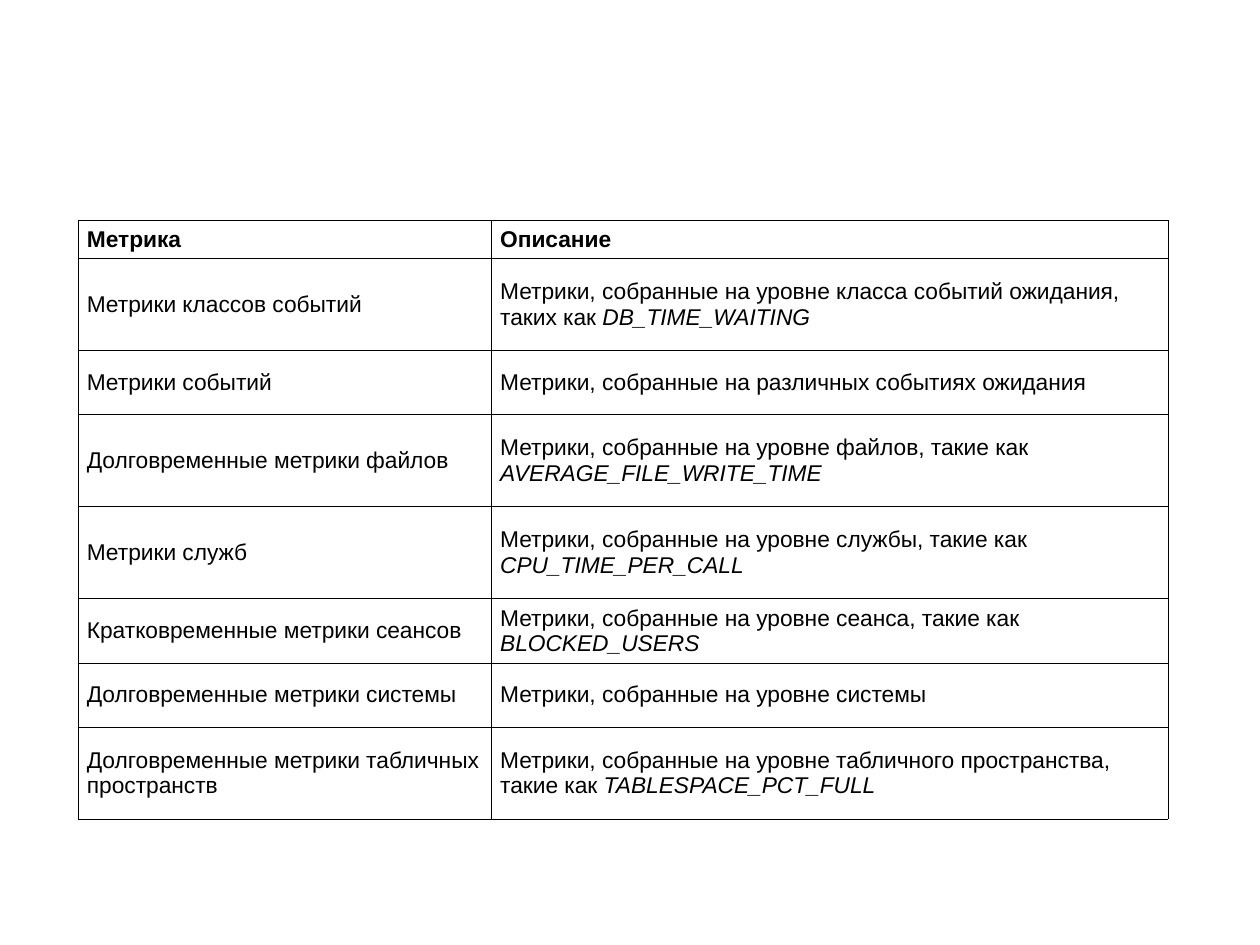
import dataclasses

import lxml.etree
import pptx
import pptx.dml.color
import pptx.enum.text
import pptx.oxml.ns
import pptx.util

SLIDE_WIDTH, SLIDE_HEIGHT = 10, 7.5
COLORS = {"text": "000000", "border": "000000"}
FONT = "Arial"
TEXT_SIZE = 13
BORDER_WIDTH = 0.34
LEFT, TOP = 0.62, 1.75
COLUMN_WIDTHS = (3.28, 5.37)
HEADER_HEIGHT, SHORT, TALL = 0.29, 0.51, 0.73
SIDE_INSET, END_INSET = 0.07, 0.05


@dataclasses.dataclass(frozen=True)
class Metric:
    title: str
    description: str
    example: str = ""
    height: float = TALL
    bold: bool = False


METRICS = (
    Metric("Метрика", "Описание", height=HEADER_HEIGHT, bold=True),
    Metric("Метрики классов событий",
           "Метрики, собранные на уровне класса событий ожидания, таких как ",
           "DB_TIME_WAITING"),
    Metric("Метрики событий",
           "Метрики, собранные на различных событиях ожидания", height=SHORT),
    Metric("Долговременные метрики файлов",
           "Метрики, собранные на уровне файлов, такие как ",
           "AVERAGE_FILE_WRITE_TIME"),
    Metric("Метрики служб",
           "Метрики, собранные на уровне службы, такие как ",
           "CPU_TIME_PER_CALL"),
    Metric("Кратковременные метрики сеансов",
           "Метрики, собранные на уровне сеанса, такие как ",
           "BLOCKED_USERS", SHORT),
    Metric("Долговременные метрики системы",
           "Метрики, собранные на уровне системы", height=SHORT),
    Metric("Долговременные метрики табличных пространств",
           "Метрики, собранные на уровне табличного пространства, такие как ",
           "TABLESPACE_PCT_FULL"),
)


def add_borders(cell) -> None:
    qn = pptx.oxml.ns.qn
    properties = cell._tc.get_or_add_tcPr()
    for side in ("a:lnL", "a:lnR", "a:lnT", "a:lnB"):
        border = lxml.etree.SubElement(
            properties, qn(side), w=str(pptx.util.Pt(BORDER_WIDTH)))
        fill = lxml.etree.SubElement(border, qn("a:solidFill"))
        lxml.etree.SubElement(fill, qn("a:srgbClr"), val=COLORS["border"])


def add_run(paragraph, text: str, bold: bool, italic: bool = False) -> None:
    run = paragraph.add_run()
    run.text = text
    run.font.name = FONT
    run.font.size = pptx.util.Pt(TEXT_SIZE)
    run.font.bold = bold
    run.font.italic = italic
    run.font.color.rgb = pptx.dml.color.RGBColor.from_string(COLORS["text"])


def fill_cell(cell, text: str, bold: bool, example: str = "") -> None:
    cell.margin_left = cell.margin_right = pptx.util.Inches(SIDE_INSET)
    cell.margin_top = cell.margin_bottom = pptx.util.Inches(END_INSET)
    cell.vertical_anchor = pptx.enum.text.MSO_ANCHOR.MIDDLE
    add_borders(cell)
    cell.fill.background()
    paragraph = cell.text_frame.paragraphs[0]
    add_run(paragraph, text, bold)
    if example:
        add_run(paragraph, example, bold, italic=True)


def add_metrics_table(slide) -> None:
    inches = pptx.util.Inches
    table = slide.shapes.add_table(
        len(METRICS), len(COLUMN_WIDTHS), inches(LEFT), inches(TOP),
        inches(sum(COLUMN_WIDTHS)),
        inches(sum(metric.height for metric in METRICS))).table
    table.first_row = table.horz_banding = False
    for column, width in zip(table.columns, COLUMN_WIDTHS):
        column.width = inches(width)
    for row, metric in zip(table.rows, METRICS):
        row.height = inches(metric.height)
        title, description = row.cells
        fill_cell(title, metric.title, metric.bold)
        fill_cell(description, metric.description, metric.bold, metric.example)


def main() -> None:
    presentation = pptx.Presentation()
    presentation.slide_width = pptx.util.Inches(SLIDE_WIDTH)
    presentation.slide_height = pptx.util.Inches(SLIDE_HEIGHT)
    add_metrics_table(presentation.slides.add_slide(presentation.slide_layouts[6]))
    presentation.save("out.pptx")


if __name__ == "__main__":
    main()
